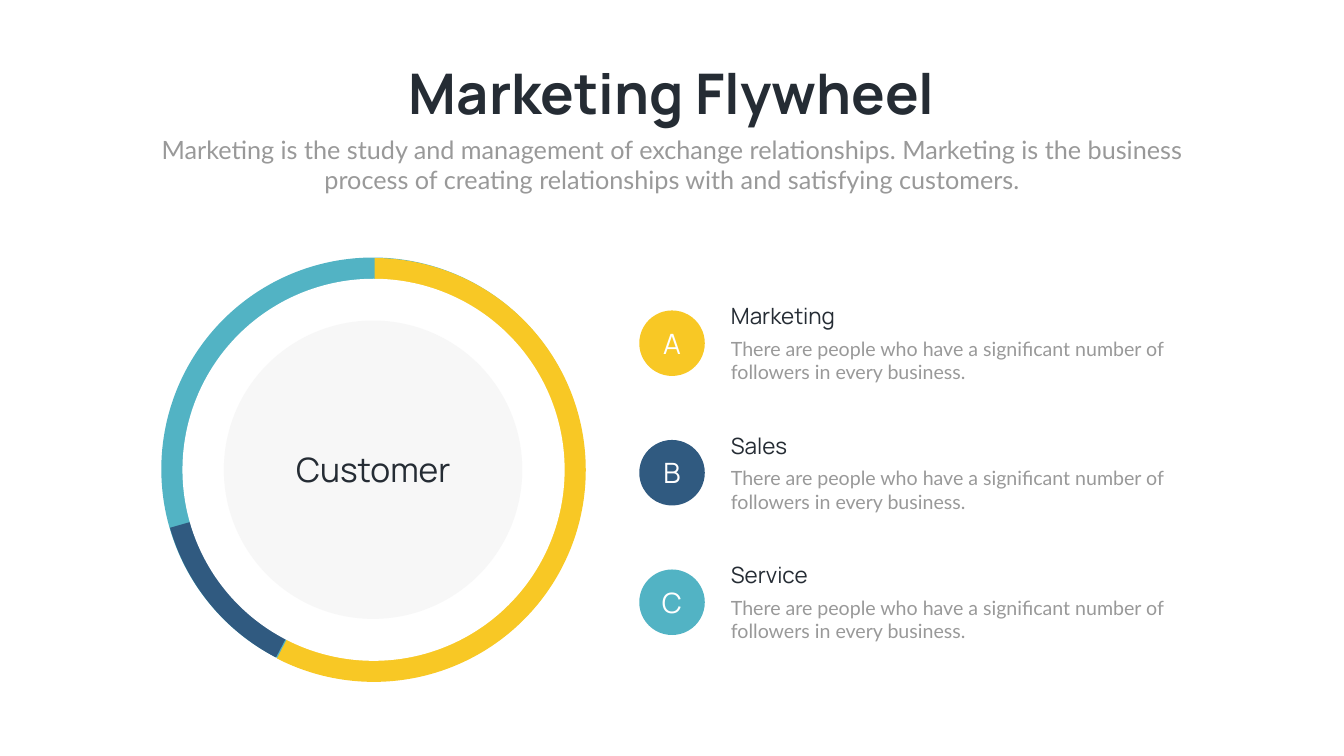
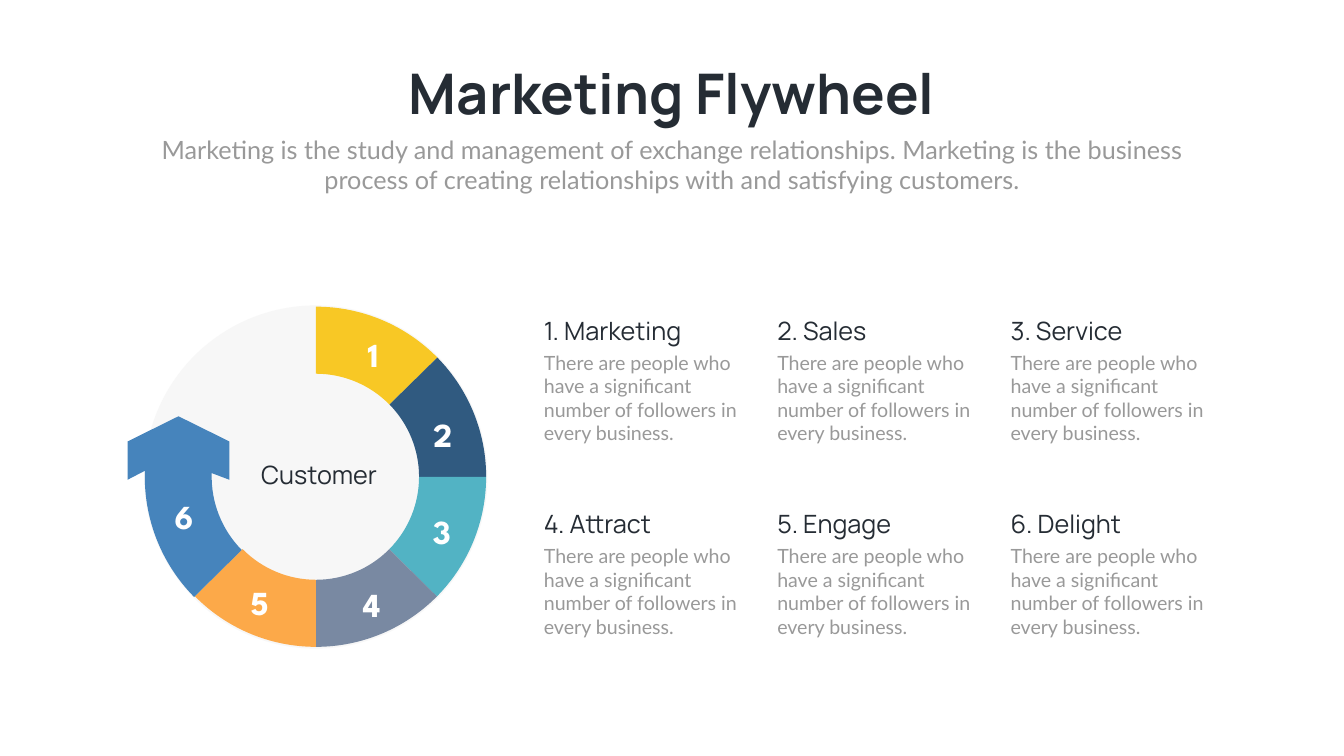
from itertools import pairwise
from math import cos, radians, sin, tan

from lxml.etree import SubElement
from pptx import Presentation
from pptx.dml.color import RGBColor
from pptx.enum.shapes import MSO_SHAPE
from pptx.enum.text import MSO_ANCHOR, MSO_AUTO_SIZE, PP_ALIGN
from pptx.oxml.ns import qn
from pptx.util import Pt

COLORS = {
    "ink": "252C34", "grey": "999999", "white": "FFFFFF", "hub": "F2F2F2",
    "yellow": "F8C825", "navy": "305A80", "teal": "52B3C4",
    "slate": "7989A2", "orange": "FCA949", "blue": "4684BC",
}
HEADING, BODY, NUMBER = "Manrope", "Lato", "League Spartan"
TITLE = "Marketing Flywheel"
SUBTITLE = ("Marketing is the study and management of exchange relationships. "
            "Marketing is the business process of creating relationships with "
            "and satisfying customers.")
DETAIL = "There are people who have a significant number of followers in every business."


def rgb(name):
    return RGBColor.from_string(COLORS[name])


def write(frame, text, size, font=HEADING, color="ink", bold=False, align=PP_ALIGN.LEFT):
    para = frame.paragraphs[0]
    para.alignment = align
    span = para.add_run()
    span.text = text
    span.font.size = Pt(size)
    span.font.name = font
    span.font.bold = bold
    span.font.color.rgb = rgb(color)


def arc(center, radius, start, end):
    """Start, two control points and end of the Bezier curve for an arc, in degrees."""
    first, last = radians(start), radians(end)
    pull = 4 / 3 * tan((last - first) / 4)
    unit = [(cos(first), sin(first)),
            (cos(first) - pull * sin(first), sin(first) + pull * cos(first)),
            (cos(last) + pull * sin(last), sin(last) - pull * cos(last)),
            (cos(last), sin(last))]
    return [(center[0] + radius * x, center[1] + radius * y) for x, y in unit]


class Slides:
    def __init__(self):
        self.deck = Presentation()
        self.deck.slide_width, self.deck.slide_height = Pt(1919.52), Pt(1080)
        self.page = None

    def add_page(self):
        """Start a slide with the shared title and subtitle."""
        self.page = self.deck.slides.add_slide(self.deck.slide_layouts[6])
        self.text(TITLE, 545.8, 80.6, 828, 104.4, wrap=False, size=80, bold=True,
                  align=PP_ALIGN.CENTER)
        self.text(SUBTITLE, 210.2, 187.9, 1499, 94.3, size=36, font=BODY, color="grey",
                  align=PP_ALIGN.CENTER)

    def text(self, text, left, top, width, height, wrap=True, **style):
        box = self.page.shapes.add_textbox(Pt(left), Pt(top), Pt(width), Pt(height))
        box.text_frame.word_wrap = wrap
        box.text_frame.auto_size = MSO_AUTO_SIZE.SHAPE_TO_FIT_TEXT
        write(box.text_frame, text, **style)

    def paint(self, shape, color, opacity=100):
        shape.shadow.inherit = False
        shape.fill.solid()
        shape.fill.fore_color.rgb = rgb(color)
        shape.line.fill.background()
        if opacity < 100:
            tone = shape.fill._xPr.find(".//" + qn("a:srgbClr"))
            SubElement(tone, qn("a:alpha"), val=str(opacity * 1000))
        return shape

    def disc(self, left, top, size, color, kind=MSO_SHAPE.OVAL, opacity=100):
        shape = self.page.shapes.add_shape(kind, Pt(left), Pt(top), Pt(size), Pt(size))
        return self.paint(shape, color, opacity)

    def pie(self, left, top, size, color, start, end):
        shape = self.disc(left, top, size, color, MSO_SHAPE.PIE)
        # Angles are stored in 60000ths of a degree, adjustments in 100000ths
        shape.adjustments[0], shape.adjustments[1] = start * 0.6, end * 0.6

    def badge(self, letter, left, top, size, color):
        frame = self.disc(left, top, size, color).text_frame
        frame.vertical_anchor = MSO_ANCHOR.MIDDLE
        write(frame, letter, size=40, color="white", align=PP_ALIGN.CENTER)

    def band(self, center, outer, inner, start, end, color, cap=()):
        """A curved band; cap holds corner points drawn between its two arcs."""
        points = [*arc(center, outer, start, end), *cap, *arc(center, inner, end, start)]
        corners = [(Pt(x), Pt(y)) for x, y in points]
        builder = self.page.shapes.build_freeform(*corners[0])
        builder.add_line_segments(corners[1:], close=True)
        shape = self.paint(builder.convert_to_shape(), color)
        lines = list(shape._element.iter(qn("a:lnTo")))
        for trio in (lines[:3], lines[-3:]):
            curve = trio[0]
            curve.tag = qn("a:cubicBezTo")
            for line in trio[1:]:
                curve.append(line[0])
                line.getparent().remove(line)

    def entry(self, heading, left, top, size, heading_box, detail_box, offset):
        """A heading with its detail text set below by offset."""
        self.text(DETAIL, left, top + offset, *detail_box, size=28, font=BODY, color="grey")
        self.text(heading, left, top, *heading_box, size=size)


def ring_page(slides):
    slides.add_page()
    slides.disc(230.4, 367.9, 604.8, "teal")
    slides.pie(231.1, 368.6, 605.5, "yellow", 270.26, 117.17)
    slides.pie(231.1, 367.9, 605.5, "navy", 117.49, 164.03)
    slides.disc(260.6, 398.2, 545.8, "white")
    slides.disc(319.7, 457.9, 426.2, "hub", opacity=60)
    slides.text("Customer", 363.6, 638.2, 339.1, 65.5, size=48, align=PP_ALIGN.CENTER)

    stages = [("A", "Marketing", "yellow"), ("B", "Sales", "navy"), ("C", "Service", "teal")]
    for row, (letter, heading, color) in enumerate(stages):
        top = 428.4 + row * 185.04
        slides.entry(heading, 1036.8, top, 32, (200.2, 46.1), (652.3, 74.9), 49)
        slides.badge(letter, 913, top + 15.1, 93.6, color)


def wheel_page(slides):
    slides.add_page()
    slides.disc(205.9, 436.3, 490.3, "hub", opacity=60)

    center = (451.3, 681.1)
    edges = [-90, -44.5, 0, 44.7, 90, 135.4]
    wedges = ["yellow", "navy", "teal", "slate", "orange"]
    for (start, end), color in zip(pairwise(edges), wedges):
        slides.band(center, 243, 147.2, start, end, color)
    arrow_head = [(182.2, 685.4), (182.2, 630.7), (254.9, 594.7),
                  (327.6, 630.7), (327.6, 685.4)]
    slides.band(center, 244.5, 149, edges[-1], 182, "blue", arrow_head)

    number_places = [(487.4, 473), (586.8, 587.5), (585.4, 726.5),
                     (485.3, 830.9), (325.4, 828), (217.4, 704.2)]
    for number, (left, top) in enumerate(number_places, 1):
        slides.text(str(number), left, top, 91.4, 55.4, size=48, font=NUMBER,
                    color="white", bold=True, align=PP_ALIGN.CENTER)

    stages = ["Marketing", "Sales", "Service", "Attract", "Engage", "Delight"]
    for index, stage in enumerate(stages):
        row, column = divmod(index, 3)
        slides.entry(f"{index + 1}. {stage}", 769.7 + column * 333.3, 446.4 + row * 276.5,
                     36, (277.2, 51.1), (315.4, 143.3), 50.8)
    slides.text("Customer", 347.8, 652.3, 216, 51.1, size=36, align=PP_ALIGN.CENTER)


def main():
    slides = Slides()
    ring_page(slides)
    wheel_page(slides)
    slides.deck.save("out.pptx")


if __name__ == "__main__":
    main()
